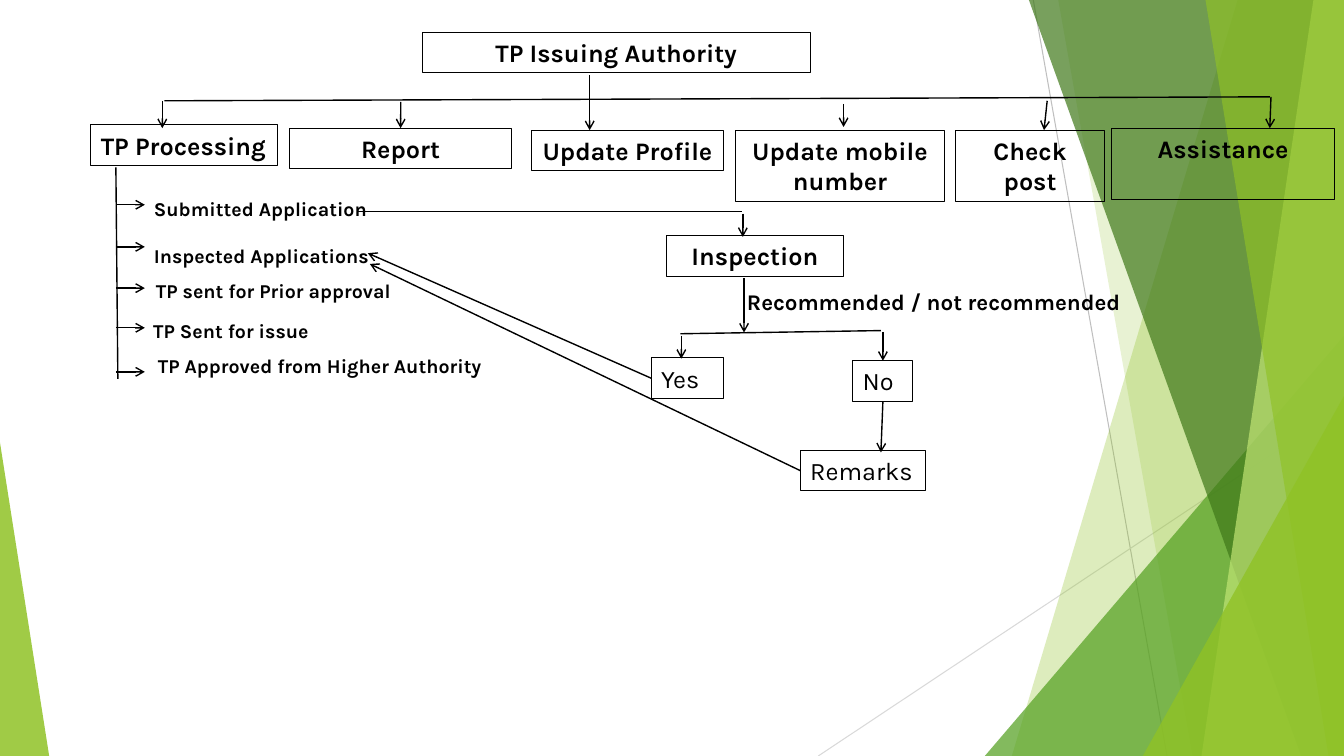
from dataclasses import dataclass
from typing import Any

from lxml.etree import SubElement
from pptx import Presentation
from pptx.dml.color import RGBColor
from pptx.enum.shapes import MSO_CONNECTOR, MSO_SHAPE
from pptx.enum.text import MSO_ANCHOR, PP_ALIGN
from pptx.oxml.ns import qn
from pptx.util import Cm, Pt


@dataclass(frozen=True)
class Theme:
    """Colours, type sizes and line widths of the slide."""
    font: str = "Karla"
    ink: str = "000000"
    green: str = "90C226"
    mid_green: str = "54A021"
    dark_green: str = "3F7819"
    pale_green: str = "C0E474"
    gray: str = "BFBFBF"
    light_gray: str = "D9D9D9"
    node_size: int = 18
    note_size: int = 16
    item_size: int = 14
    item_gap: int = 17
    thin: float = 0.75
    flow: float = 1


THEME = Theme()
NODE_HEIGHT = 1.02
TALL_NODE_HEIGHT = 1.8
TOP, LEFT, BOTTOM = 0, 1, 2


@dataclass
class Region:
    """A box on the slide, in centimetres, that places parts from its corner."""
    slide: Any
    left: float
    top: float
    width: float
    height: float

    def place(self, x, y):
        """Turn an offset in the region into a slide position."""
        return Cm(self.left + x), Cm(self.top + y)

    def line(self, start, end, color=THEME.ink, width=THEME.flow, arrow=False):
        """Draw a straight line, with an arrowhead at its end on request."""
        connector = self.slide.shapes.add_connector(
            MSO_CONNECTOR.STRAIGHT, *self.place(*start), *self.place(*end))
        connector.line.color.rgb = RGBColor.from_string(color)
        connector.line.width = Pt(width)
        if arrow:
            SubElement(connector.line._get_or_add_ln(), qn("a:tailEnd"), type="arrow")
        SubElement(connector._element.spPr, qn("a:effectLst"))
        return connector

    def arrow(self, start, end):
        """Draw a flow arrow."""
        return self.line(start, end, arrow=True)

    def node(self, x, y, width, text, height=NODE_HEIGHT, bold=True, align=PP_ALIGN.CENTER):
        """Draw an outlined box with a caption."""
        shape = self.slide.shapes.add_shape(
            MSO_SHAPE.RECTANGLE, *self.place(x, y), Cm(width), Cm(height))
        shape.shadow.inherit = False
        shape.fill.background()
        shape.line.color.rgb = RGBColor.from_string(THEME.ink)
        shape.line.width = Pt(THEME.thin)
        write(shape.text_frame, text, THEME.node_size, bold, align)
        return shape

    def label(self, x, y, width, height, text, size, align=PP_ALIGN.LEFT):
        """Place bold text without an outline."""
        shape = self.slide.shapes.add_textbox(*self.place(x, y), Cm(width), Cm(height))
        write(shape.text_frame, text, size, True, align)

    def band(self, top_x, bottom_x, color, opacity):
        """Fill from a slanted left edge to the right side of the region."""
        builder = self.slide.shapes.build_freeform(*self.place(top_x, 0))
        builder.add_line_segments([self.place(self.width, 0),
                                   self.place(self.width, self.height),
                                   self.place(bottom_x, self.height)])
        paint(builder.convert_to_shape(), color, opacity)

    def corner(self, x, y, color, opacity, apex=1):
        """Fill a triangle that reaches the lower right of the region."""
        shape = self.slide.shapes.add_shape(
            MSO_SHAPE.ISOSCELES_TRIANGLE, *self.place(x, y),
            Cm(self.width - x), Cm(self.height - y))
        shape.adjustments[0] = apex
        paint(shape, color, opacity)


def write(text_frame, text, size, bold, align):
    """Set wrapped text and format all of its runs."""
    text_frame.text = text
    text_frame.word_wrap = True
    text_frame.vertical_anchor = MSO_ANCHOR.TOP
    for index, paragraph in enumerate(text_frame.paragraphs):
        paragraph.alignment = align
        if index:
            paragraph.space_before = Pt(THEME.item_gap)
        for run in paragraph.runs:
            run.font.name = THEME.font
            run.font.size = Pt(size)
            run.font.bold = bold
            run.font.color.rgb = RGBColor.from_string(THEME.ink)


def paint(shape, color, opacity):
    """Give a shape a see-through fill, in percent, and no outline."""
    shape.shadow.inherit = False
    shape.line.fill.background()
    shape.fill.solid()
    shape.fill.fore_color.rgb = RGBColor.from_string(color)
    color_element = shape._element.spPr.find(qn("a:solidFill"))[0]
    SubElement(color_element, qn("a:alpha"), val=str(opacity * 1000))


def draw_facets(region):
    """Draw the green facets on the right of the slide."""
    region.line((5.42, 0), (8.79, region.height), THEME.gray, THEME.thin)
    region.line((region.width, 10.24), (0, region.height), THEME.light_gray, THEME.thin)
    region.band(10.57, 4.88, THEME.green, 30)
    region.band(6.05, 9.43, THEME.green, 20)
    region.corner(4.2, 8.46, THEME.mid_green, 72)
    region.band(5.31, 12.17, THEME.dark_green, 70)
    region.band(12.48, 9.66, THEME.pale_green, 70)
    region.band(9.76, 12.86, THEME.green, 65)
    region.corner(8.18, 9.98, THEME.green, 80)


def draw_menu(region):
    """Draw the authority and the row of its six functions."""
    region.node(8.35, 0, 9.78, "TP Issuing Authority")
    region.node(0, 2.34, 4.7, "TP Processing", align=PP_ALIGN.LEFT)
    report = region.node(5, 2.42, 5.61, "Report")
    region.node(11.1, 2.47, 4.85, "Update Profile")
    region.node(16.25, 2.47, 5.26, "Update mobile number", TALL_NODE_HEIGHT)
    region.node(21.79, 2.47, 3.76, "Check post", TALL_NODE_HEIGHT)
    region.node(25.73, 2.42, 5.61, "Assistance", TALL_NODE_HEIGHT)
    region.line((1.85, 1.73), (29.71, 1.63))
    for start, end in (((1.8, 1.73), (1.8, 2.42)), ((12.57, 1.09), (12.57, 2.47)),
                       ((18.97, 1.81), (18.97, 2.39)), ((24.1, 1.73), (24.02, 2.47)),
                       ((29.74, 1.63), (29.71, 2.42))):
        region.arrow(start, end)
    region.arrow((7.81, 1.76), (7.81, 2.42)).end_connect(report, TOP)


def draw_processing(region):
    """Draw the stem below TP Processing and its five entries."""
    region.line((0.05, 0), (0.1, region.height))
    for y in (0.94, 2, 3.04, 4.04, 5.15):
        region.arrow((0.05, y), (0.78, y))
    for x, y, height, text in (
            (0.76, 0.61, 3.25, "Submitted Application\nInspected Applications"),
            (0.81, 2.69, 0.86, "TP sent for Prior approval"),
            (0.74, 3.7, 0.86, "TP Sent for issue"),
            (0.86, 4.57, 0.86, "TP Approved from Higher Authority")):
        region.label(x, y, region.width - x, height, text, THEME.item_size)


def draw_inspection(region):
    """Draw the inspection, its two outcomes and the ways back."""
    region.node(7.77, 0.61, 4.47, "Inspection")
    yes, no, remarks = (
        region.node(x, y, width, text, bold=False, align=PP_ALIGN.LEFT)
        for x, y, width, text in ((7.39, 3.69, 1.83, "Yes"), (12.47, 3.76, 1.52, "No"),
                                  (11.15, 6.02, 3.15, "Remarks")))
    region.label(8.68, 1.81, 11.66, 0.94, "Recommended / not recommended",
                 THEME.note_size, PP_ALIGN.CENTER)
    region.line((0, 0), (9.67, 0))
    region.line((8.13, 3.08), (13.18, 3))
    region.arrow((9.7, 0.05), (9.7, 0.64))
    region.arrow((9.73, 1.68), (9.73, 3.05))
    region.arrow((8.15, 3.13), (8.15, 3.71))
    region.arrow((13.23, 3.03), (13.23, 3.76)).end_connect(no, TOP)
    region.arrow((13.23, 4.78), (13.18, 6.07)).begin_connect(no, BOTTOM)
    region.arrow((7.39, 4.2), (0.25, 1.05)).begin_connect(yes, LEFT)
    region.arrow((11.15, 6.53), (0.3, 1.32)).begin_connect(remarks, LEFT)


def main():
    """Build the slide and save it."""
    presentation = Presentation()
    presentation.slide_width, presentation.slide_height = Cm(33.87), Cm(19.05)
    slide = presentation.slides.add_slide(presentation.slide_layouts[6])
    draw_facets(Region(slide, 20.62, 0, 13.25, 19.05))
    Region(slide, 0, 11.15, 1.24, 7.9).corner(0, 0, THEME.green, 85, apex=0)
    draw_menu(Region(slide, 2.29, 0.81, 31.34, 4.27))
    draw_processing(Region(slide, 2.87, 4.22, 10, 5.33))
    draw_inspection(Region(slide, 9.02, 5.33, 20.34, 7.04))
    presentation.save("out.pptx")


if __name__ == "__main__":
    main()
